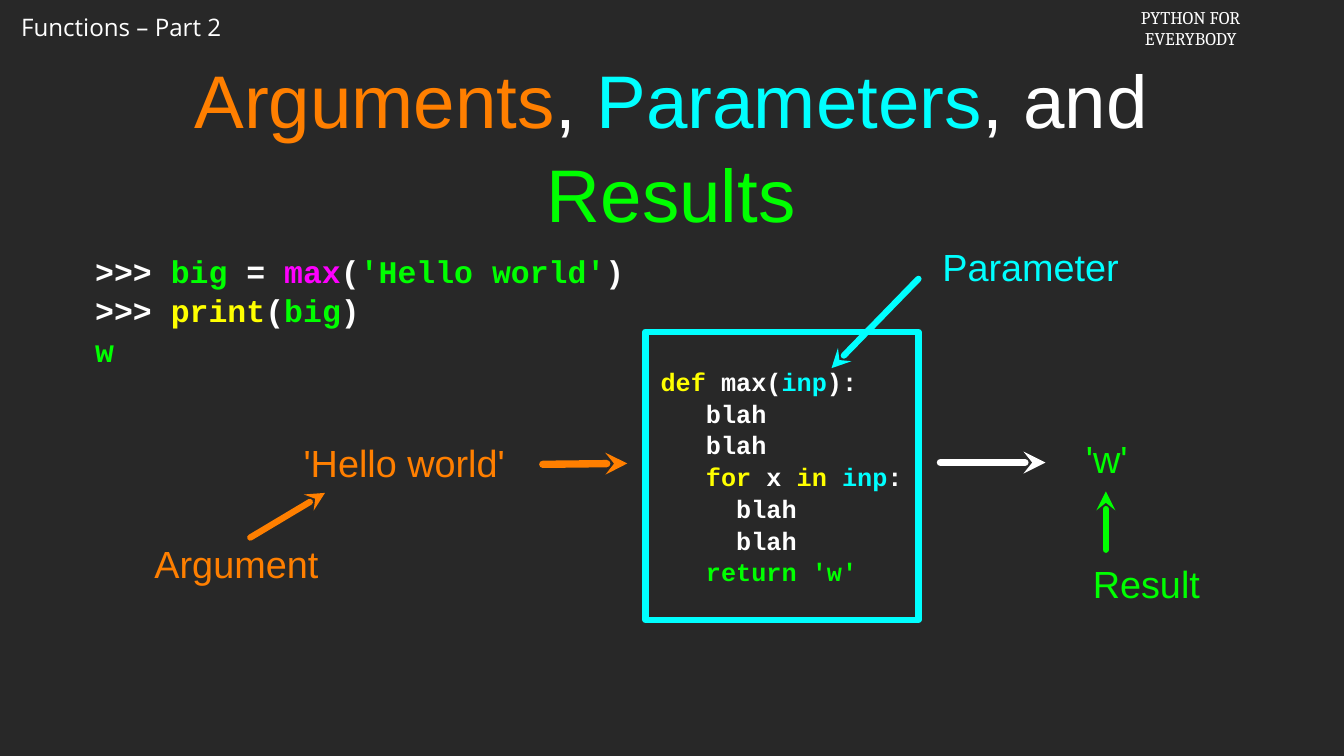
from lxml.etree import SubElement
from pptx import Presentation
from pptx.dml.color import RGBColor
from pptx.enum.shapes import MSO_CONNECTOR as Connector, MSO_SHAPE as Shape
from pptx.enum.text import MSO_ANCHOR as Anchor, MSO_AUTO_SIZE as AutoSize, PP_ALIGN as Align
from pptx.oxml.ns import qn
from pptx.util import Cm, Pt

COLORS = {
    "background": "282828",
    "white": "FFFFFF",
    "orange": "FF7F00",
    "cyan": "00FFFF",
    "green": "00FF00",
    "yellow": "FFFF00",
    "magenta": "FF00FF",
}
LABEL_HEIGHT = 1.73


def color(name):
    return RGBColor.from_string(COLORS[name])


class SlideBuilder:
    heading_font = "Arial"
    code_font = "Courier New"
    line_spacing = 1.05

    def __init__(self, deck):
        self.page = deck.slides.add_slide(deck.slide_layouts[6])
        self.page.background.fill.solid()
        self.page.background.fill.fore_color.rgb = color("background")

    def fill_text(self, frame, lines, font, size, align, bold=False, spacing=None):
        for index, line in enumerate(lines):
            para = frame.paragraphs[0] if index == 0 else frame.add_paragraph()
            para.alignment = align
            if spacing:
                para.line_spacing = spacing
            para.font.name = font
            para.font.size = Pt(size)
            para.font.bold = bold
            for text, tint in line:
                span = para.add_run()
                span.text = text
                span.font.color.rgb = color(tint)

    def set_frame(self, frame, margin):
        frame.word_wrap = True
        frame.vertical_anchor = Anchor.MIDDLE
        frame.margin_left = frame.margin_right = Cm(margin)
        frame.margin_top = frame.margin_bottom = Cm(margin)

    def text_box(self, place, margin=0):
        box = self.page.shapes.add_textbox(*map(Cm, place))
        self.set_frame(box.text_frame, margin)
        return box.text_frame

    def header(self, place, lines, font, size, align):
        frame = self.page.shapes.add_textbox(*map(Cm, place)).text_frame
        frame.word_wrap = False
        frame.auto_size = AutoSize.SHAPE_TO_FIT_TEXT
        self.fill_text(frame, [[(line, "white")] for line in lines], font, size, align)

    def title(self, place, spans):
        frame = self.text_box(place, margin=0.1)
        self.fill_text(frame, [spans], self.heading_font, 71, Align.CENTER,
                       spacing=self.line_spacing)

    def label(self, left, top, width, text, tint):
        frame = self.text_box((left, top, width, LABEL_HEIGHT))
        self.fill_text(frame, [[(text, tint)]], self.heading_font, 36, Align.CENTER)

    def code(self, place, lines):
        self.fill_text(self.text_box(place), lines, self.code_font, 30, Align.LEFT,
                       bold=True, spacing=self.line_spacing)

    def code_frame(self, place, lines, tint):
        box = self.page.shapes.add_shape(Shape.RECTANGLE, *map(Cm, place))
        box.shadow.inherit = False
        box.fill.background()
        box.line.color.rgb = color(tint)
        box.line.width = Pt(6)
        SubElement(box.line._get_or_add_ln(), qn("a:round"))
        self.set_frame(box.text_frame, 0)
        self.fill_text(box.text_frame, lines, self.code_font, 24, Align.LEFT,
                       bold=True, spacing=self.line_spacing)

    def arrow(self, tip, start, tint, width=6):
        arrow = self.page.shapes.add_connector(
            Connector.STRAIGHT, *map(Cm, (*tip, *start)))
        arrow.line.color.rgb = color(tint)
        arrow.line.width = Pt(width)
        line = arrow.line._get_or_add_ln()
        line.set("cap", "rnd")
        SubElement(line, qn("a:round"))
        SubElement(line, qn("a:headEnd"), type="stealth")
        SubElement(arrow._element.spPr, qn("a:effectLst"))


def main():
    deck = Presentation()
    deck.slide_width, deck.slide_height = Cm(45.16), Cm(25.4)
    slide = SlideBuilder(deck)

    slide.header((0.46, 0.3, 7.62, 1.24), ["Functions – Part 2"],
                 "Open Sans", 23, Align.LEFT)
    slide.header((37.8, 0.1, 4.42, 1.7), ["PYTHON FOR", "EVERYBODY"],
                 "Cambria", 17, Align.CENTER)
    slide.title((3.2, 2.41, 38.71, 4.83), [
        ("Arguments", "orange"), (", ", "white"), ("Parameters", "cyan"),
        (", and ", "white"), ("Results", "green")])

    slide.code((3.2, 8.08, 20.98, 4.62), [
        [(">>> ", "white"), ("big", "green"), (" = ", "white"), ("max", "magenta"),
         ("(", "white"), ("'Hello world'", "green"), (")", "white")],
        [(">>> ", "white"), ("print", "yellow"), ("(", "white"),
         ("big", "green"), (")", "white")],
        [("w", "green")]])

    outer_blah = [("    blah", "white")]
    inner_blah = [("      blah", "white")]
    slide.code_frame((21.69, 11.15, 9.17, 9.68), [
        [(" def", "yellow"), (" max(", "white"), ("inp", "cyan"), ("):", "white")],
        outer_blah,
        outer_blah,
        [("    ", "white"), ("for", "yellow"), (" x ", "white"),
         ("in ", "yellow"), ("inp", "cyan"), (":", "white")],
        inner_blah,
        inner_blah,
        [("    ", "white"), ("return 'w'", "green")]], "cyan")

    for label in (
        (9.8, 14.68, 7.92, "'Hello world' ", "orange"),
        (36.3, 14.53, 1.78, "'w'", "green"),
        (4.72, 18.06, 6.45, "Argument", "orange"),
        (31.19, 8.08, 6.88, "Parameter", "cyan"),
        (36.17, 18.75, 4.7, "Result", "green"),
    ):
        slide.label(*label)

    slide.arrow((21.08, 15.57), (18.24, 15.6), "orange", 7)
    slide.arrow((35.13, 15.54), (31.6, 15.54), "white", 7)
    slide.arrow((10.92, 16.56), (8.41, 18.06), "orange")
    slide.arrow((27.94, 12.37), (30.86, 9.37), "cyan")
    slide.arrow((37.16, 16.51), (37.16, 18.47), "green")

    deck.save("out.pptx")


if __name__ == "__main__":
    main()
